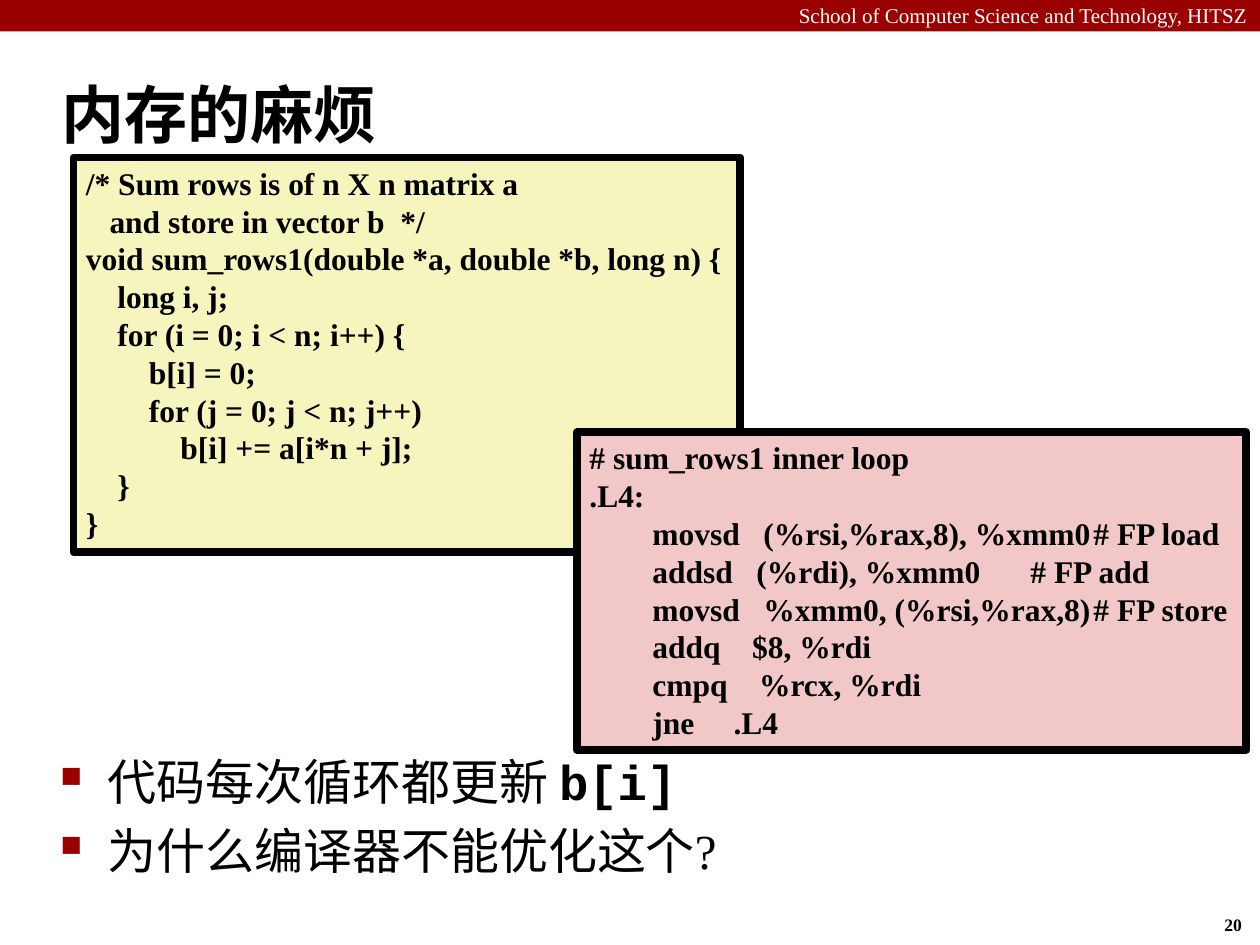
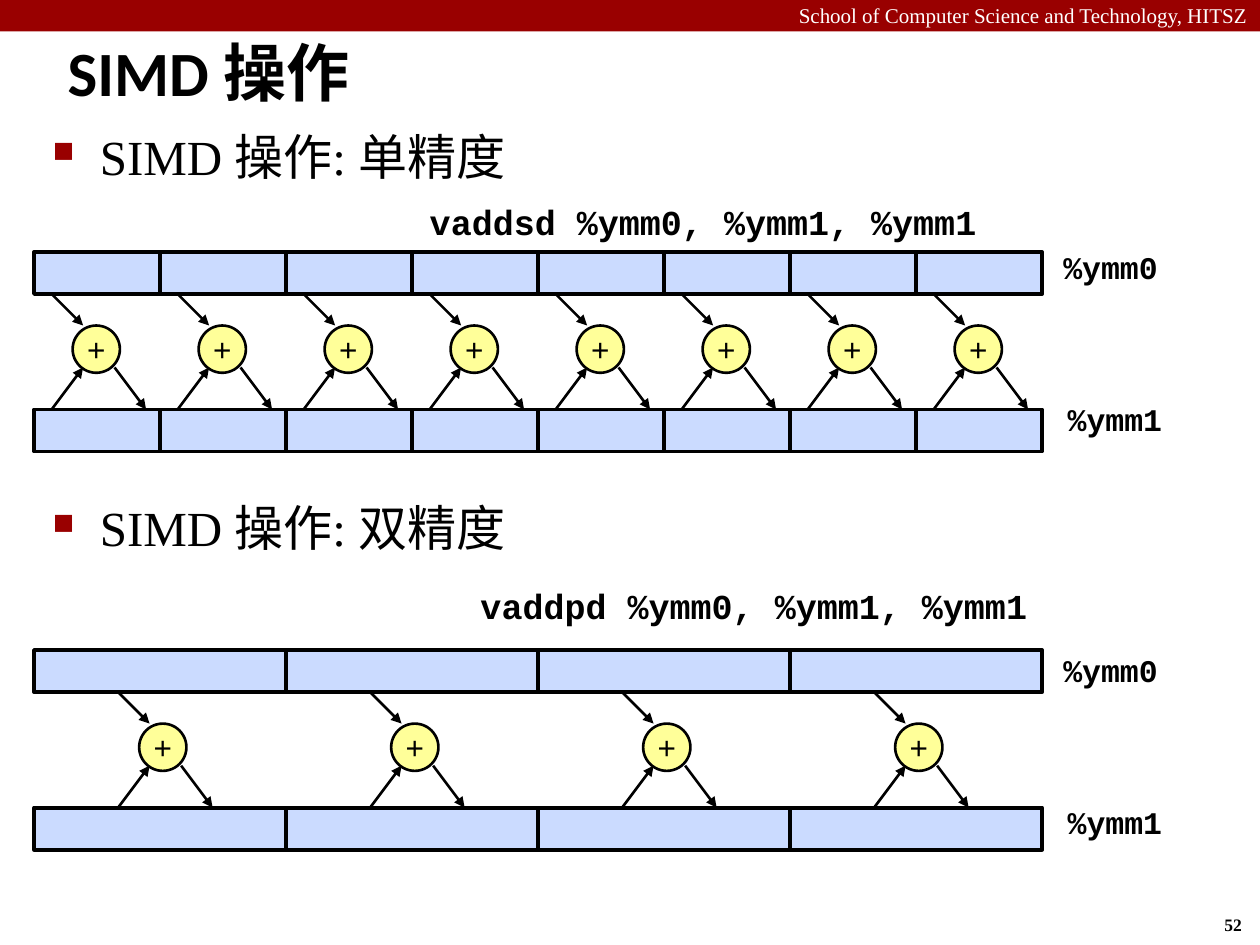
from lxml import etree
from pptx import Presentation
from pptx.dml.color import RGBColor
from pptx.enum.shapes import MSO_CONNECTOR, MSO_SHAPE
from pptx.enum.text import MSO_ANCHOR, PP_ALIGN
from pptx.oxml.ns import qn
from pptx.util import Pt

STRAIGHT = MSO_CONNECTOR.STRAIGHT
RECTANGLE = MSO_SHAPE.RECTANGLE
OVAL = MSO_SHAPE.OVAL
TOP = MSO_ANCHOR.TOP
MIDDLE = MSO_ANCHOR.MIDDLE
LEFT = PP_ALIGN.LEFT
CENTER = PP_ALIGN.CENTER
RIGHT = PP_ALIGN.RIGHT

SERIF = "Times New Roman"
MONO = "Courier New"
HEADING = "Calibri"
BLACK = "000000"
WHITE = "FFFFFF"
CRIMSON = "990000"
CODE_YELLOW = "F6F5BD"
CODE_PINK = "F1C7C7"
REGISTER_BLUE = "CBDBFF"
ADDER_YELLOW = "FFFF99"

PAGE_WIDTH, PAGE_HEIGHT = 720, 540
SCHOOL = "School of Computer Science and Technology, HITSZ"

SUM_ROWS = """/* Sum rows is of n X n matrix a
   and store in vector b  */
void sum_rows1(double *a, double *b, long n) {
    long i, j;
    for (i = 0; i < n; i++) {
\tb[i] = 0;
\tfor (j = 0; j < n; j++)
\t    b[i] += a[i*n + j];
    }
}"""

INNER_LOOP = """# sum_rows1 inner loop
.L4:
        movsd   (%rsi,%rax,8), %xmm0\t# FP load
        addsd   (%rdi), %xmm0\t# FP add
        movsd   %xmm0, (%rsi,%rax,8)\t# FP store
        addq    $8, %rdi
        cmpq    %rcx, %rdi
        jne     .L4"""

REGISTER_LEFT, REGISTER_WIDTH, REGISTER_HEIGHT = 19.5, 576, 24
ROW_PITCH = 90
ADDER_SIZE, ADDER_DROP = 27, 42
ARROWS = [(-12, 24, 6, 42), (-12, 90, 6, 66), (24, 66, 42, 90)]


def color(value):
    return RGBColor.from_string(value)


class LectureDeck:
    """Holds the lecture style, the deck and the current page."""

    def __init__(self):
        self.deck = Presentation()
        self.deck.slide_width = Pt(PAGE_WIDTH)
        self.deck.slide_height = Pt(PAGE_HEIGHT)
        self.page = None

    def add_page(self, number):
        self.page = self.deck.slides.add_slide(self.deck.slide_layouts[6])
        self.shape(RECTANGLE, 0, 0, PAGE_WIDTH, 18, CRIMSON)
        self.text(0, -2, PAGE_WIDTH, 21.6, [(SCHOOL, SERIF, False)], 12, WHITE, align=RIGHT)
        self.text(692.6, 519, 27, 19.5, [(number, SERIF, True)], 10, wrap=False)

    def add_spans(self, para, spans, size, ink=BLACK, align=LEFT):
        para.alignment = align
        for content, font, bold in spans:
            span = para.add_run()
            span.text = content
            span.font.name = font
            span.font.size = Pt(size)
            span.font.bold = bold
            span.font.color.rgb = color(ink)

    def frame(self, box, anchor=TOP, inset=7.2, wrap=True):
        frame = box.text_frame
        frame.word_wrap = wrap
        frame.vertical_anchor = anchor
        frame.margin_left = frame.margin_right = Pt(inset)
        frame.margin_top = frame.margin_bottom = Pt(3.6)
        return frame

    def text(self, left, top, width, height, spans, size, ink=BLACK, align=LEFT,
             anchor=TOP, inset=7.2, wrap=True):
        box = self.page.shapes.add_textbox(Pt(left), Pt(top), Pt(width), Pt(height))
        frame = self.frame(box, anchor, inset, wrap)
        self.add_spans(frame.paragraphs[0], spans, size, ink, align)

    def title(self, left, top, content):
        self.text(left, top, PAGE_WIDTH - left, 60, [(content, HEADING, True)], 36, anchor=MIDDLE)

    def bullets(self, left, top, height, items):
        box = self.page.shapes.add_textbox(Pt(left), Pt(top), Pt(PAGE_WIDTH - left), Pt(height))
        frame = self.frame(box)
        for index, spans in enumerate(items):
            para = frame.add_paragraph() if index else frame.paragraphs[0]
            properties = para._p.get_or_add_pPr()
            properties.set("marL", str(Pt(27)))
            properties.set("indent", str(Pt(-27)))
            tint = etree.SubElement(properties, qn("a:buClr"))
            etree.SubElement(tint, qn("a:srgbClr"), val=CRIMSON)
            etree.SubElement(properties, qn("a:buSzPct"), val="60000")
            etree.SubElement(properties, qn("a:buChar"), char="■")
            if index:
                para.space_before = Pt(5.6)
            self.add_spans(para, spans, 28)

    def shape(self, kind, left, top, width, height, fill, line_width=0):
        box = self.page.shapes.add_shape(kind, Pt(left), Pt(top), Pt(width), Pt(height))
        box.shadow.inherit = False
        box.fill.solid()
        box.fill.fore_color.rgb = color(fill)
        if line_width:
            box.line.color.rgb = color(BLACK)
            box.line.width = Pt(line_width)
        else:
            box.line.fill.background()
        return box

    def code(self, left, top, width, height, fill, source):
        frame = self.frame(self.shape(RECTANGLE, left, top, width, height, fill, 4.5))
        for index, line in enumerate(source.split("\n")):
            para = frame.add_paragraph() if index else frame.paragraphs[0]
            para.line_spacing = Pt(21.6)
            self.add_spans(para, [(line, SERIF, True)], 18)

    def arrow(self, start_x, start_y, end_x, end_y):
        arrow = self.page.shapes.add_connector(
            STRAIGHT, Pt(start_x), Pt(start_y), Pt(end_x), Pt(end_y))
        arrow.line.color.rgb = color(BLACK)
        arrow.line.width = Pt(1.5)
        etree.SubElement(arrow.line._get_or_add_ln(), qn("a:tailEnd"), type="triangle")
        etree.SubElement(arrow._element.spPr, qn("a:effectLst"))

    def adder(self, left, top):
        circle = self.shape(OVAL, left, top + ADDER_DROP, ADDER_SIZE, ADDER_SIZE, ADDER_YELLOW, 1.5)
        frame = self.frame(circle, MIDDLE, 3.6, False)
        self.add_spans(frame.paragraphs[0], [("+", MONO, False)], 18, align=CENTER)
        for start_x, start_y, end_x, end_y in ARROWS:
            self.arrow(left + start_x, top + start_y, left + end_x, top + end_y)

    def mono_label(self, left, top, width, content, size):
        self.text(left, top, width, 32, [(content, MONO, True)], size, inset=3.6)

    def vector_add(self, top, lanes, adder_offset, instruction, label_left, label_top, name_top):
        lane_width = REGISTER_WIDTH / lanes
        lane_lefts = [REGISTER_LEFT + lane * lane_width for lane in range(lanes)]
        for row_top in (top, top + ROW_PITCH):
            for left in lane_lefts:
                self.shape(RECTANGLE, left, row_top, lane_width, REGISTER_HEIGHT,
                           REGISTER_BLUE, 2.25)
        for left in lane_lefts:
            self.adder(left + adder_offset, top)
        self.mono_label(label_left, label_top, 330, instruction, 20)
        self.mono_label(604, name_top, 80, "%ymm0", 18)
        self.mono_label(606.5, name_top + 87, 80, "%ymm1", 18)


def memory_page(lecture):
    lecture.add_page("20")
    lecture.title(28, 34.5, "内存的麻烦")
    lecture.bullets(27.5, 426, 80, [
        [("代码每次循环都更新 ", SERIF, False), ("b[i]", MONO, True)],
        [("为什么编译器不能优化这个?", SERIF, False)],
    ])
    lecture.code(42, 90, 381, 225.5, CODE_YELLOW, SUM_ROWS)
    lecture.code(329.75, 247, 382.5, 181.5, CODE_PINK, INNER_LOOP)


def simd_page(lecture):
    lecture.add_page("52")
    lecture.title(31.5, 10.5, "SIMD 操作")
    for top, precision in ((68.5, "单精度"), (281, "双精度")):
        lecture.bullets(23, top, 44, [[("SIMD 操作: " + precision, SERIF, False)]])
    lecture.vector_add(144, 8, 22, "vaddsd %ymm0, %ymm1, %ymm1", 242, 111, 138.25)
    lecture.vector_add(371.5, 4, 60, "vaddpd %ymm0, %ymm1, %ymm1", 271, 330.5, 368.5)


def main():
    lecture = LectureDeck()
    memory_page(lecture)
    simd_page(lecture)
    lecture.deck.save("out.pptx")


if __name__ == "__main__":
    main()
